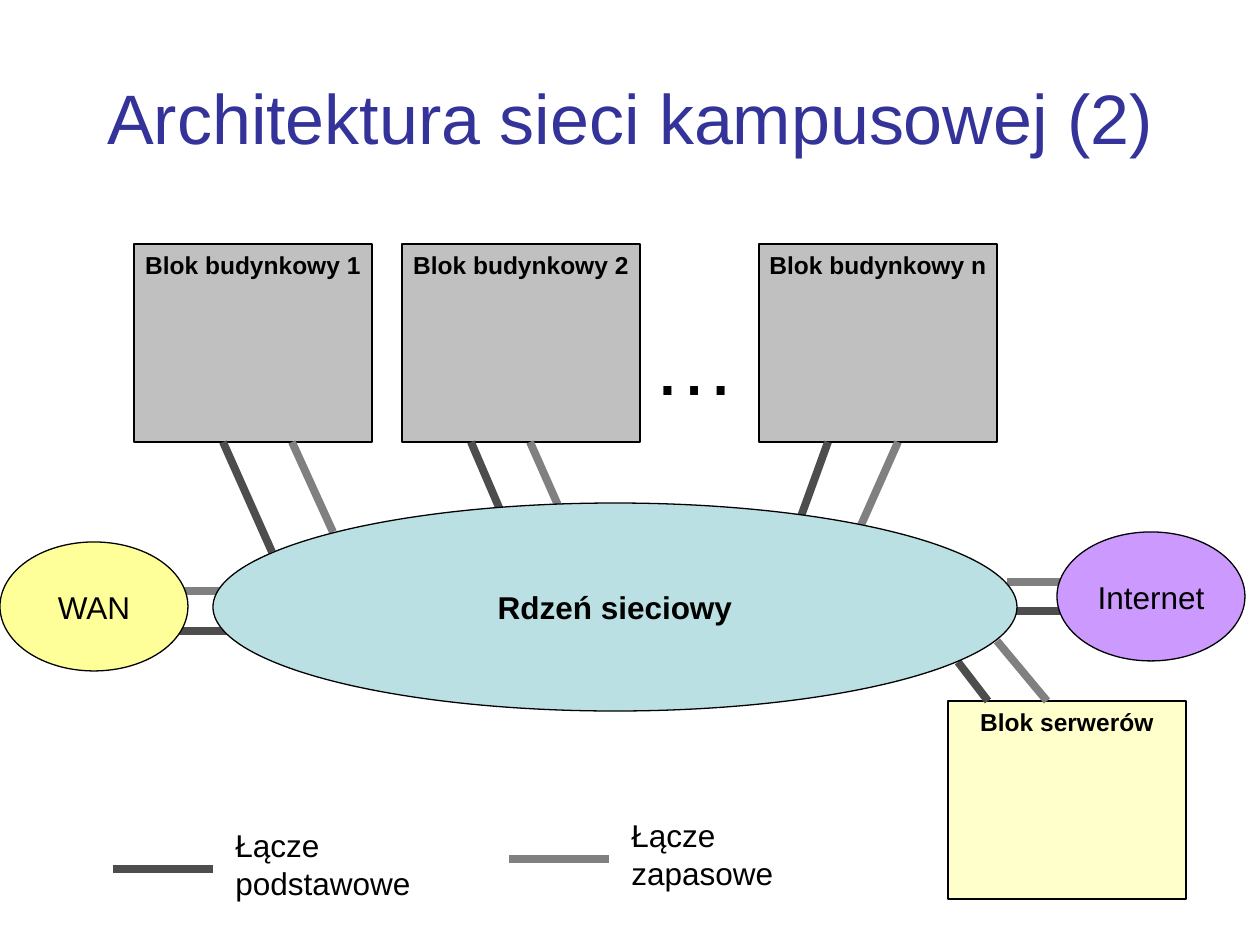
import pptx
import pptx.dml.color
import pptx.enum.shapes
import pptx.enum.text
import pptx.oxml
import pptx.util

PX = 914400 / 126
COLORS = {
    "title": "333399", "text": "000000", "outline": "000000",
    "building": "C0C0C0", "servers": "FFFFCC",
    "core": "BBE0E3", "internet": "CC99FF", "wan": "FFFF99",
    "primary": "4D4D4D", "backup": "808080",
}
TITLE = ("Architektura sieci kampusowej (2)", 63, 38, 1134, 157)

BLOCK_SIZE = (238, 198)
BLOCKS = [  # text, colour, left, top
    ("Blok budynkowy 1", "building", 134, 244),
    ("Blok budynkowy 2", "building", 402, 244),
    ("Blok budynkowy n", "building", 759, 244),
    ("Blok serwerów", "servers", 948, 701),
]
CLOUDS = [  # text, colour, left, top, width, height, bold
    ("Rdzeń sieciowy", "core", 213, 503, 804, 208, True),
    ("Internet", "internet", 1057, 532, 188, 129, False),
    ("WAN", "wan", 0, 542, 188, 129, False),
]
LINKS = {  # start x, start y, end x, end y
    "primary": [
        (223, 442, 272, 552), (471, 442, 501, 512), (828, 442, 799, 522),
        (958, 662, 988, 701), (1007, 611, 1067, 611), (174, 631, 233, 631),
    ],
    "backup": [
        (292, 442, 333, 532), (530, 442, 561, 512), (898, 442, 858, 532),
        (997, 641, 1047, 701), (1007, 582, 1067, 582), (174, 591, 223, 591),
    ],
}
ELLIPSIS = ("…", 640, 305, 108, 113)
LEGEND = [  # text, link kind, sample left, sample centre, label width
    ("Łącze\npodstawowe", "primary", 113, 869, 200),
    ("Łącze\nzapasowe", "backup", 509, 859, 168),
]
SAMPLE_WIDTH, LABEL_GAP, LABEL_RISE, LABEL_HEIGHT = 100, 10, 49, 88

SHAPE = pptx.enum.shapes.MSO_SHAPE
ALIGN = pptx.enum.text.PP_ALIGN
ANCHOR = pptx.enum.text.MSO_ANCHOR


def emu(*lengths):
    return [round(length * PX) for length in lengths]


def rgb(name):
    return pptx.dml.color.RGBColor.from_string(COLORS[name])


def write(box, text, size, color="text", bold=False, align=ALIGN.CENTER,
          anchor=ANCHOR.TOP, wrap=False):
    frame = box.text_frame
    frame.word_wrap = wrap
    frame.vertical_anchor = anchor
    paragraph = frame.paragraphs[0]
    paragraph.text = text
    paragraph.alignment = align
    font = paragraph.font
    font.name, font.size, font.bold = "Arial", pptx.util.Pt(size), bold
    font.color.rgb = rgb(color)


def add_growing_label(page, text, place, size):
    """Add left-aligned text whose box grows to keep its lines whole."""
    label = page.shapes.add_textbox(*emu(*place))
    write(label, text, size, align=ALIGN.LEFT)
    label.text_frame.auto_size = pptx.enum.text.MSO_AUTO_SIZE.SHAPE_TO_FIT_TEXT


def add_node(page, kind, color, place):
    node = page.shapes.add_shape(kind, *emu(*place))
    node.shadow.inherit = False
    node.fill.solid()
    node.fill.fore_color.rgb = rgb(color)
    node.line.color.rgb = rgb("outline")
    node.line.width = pptx.util.Pt(0.75)
    return node


def add_link(page, kind, ends):
    link = page.shapes.add_connector(
        pptx.enum.shapes.MSO_CONNECTOR.STRAIGHT, *emu(*ends))
    link.line.color.rgb = rgb(kind)
    link.line.width = pptx.util.Pt(4.5)
    link._element.spPr.append(pptx.oxml.parse_xml(
        '<a:effectLst xmlns:a='
        '"http://schemas.openxmlformats.org/drawingml/2006/main"/>'))


def main():
    deck = pptx.Presentation()
    deck.slide_width = pptx.util.Inches(10)
    deck.slide_height = pptx.util.Inches(7.5)
    page = deck.slides.add_slide(deck.slide_layouts[6])

    title = page.shapes.add_textbox(*emu(*TITLE[1:]))
    write(title, TITLE[0], 40, color="title", anchor=ANCHOR.MIDDLE, wrap=True)
    for text, color, left, top in BLOCKS:
        block = add_node(page, SHAPE.RECTANGLE, color, (left, top, *BLOCK_SIZE))
        write(block, text, 14, bold=True)
    add_growing_label(page, ELLIPSIS[0], ELLIPSIS[1:], 48)

    for kind, links in LINKS.items():
        for ends in links:
            add_link(page, kind, ends)
    for text, color, *place, bold in CLOUDS:
        cloud = add_node(page, SHAPE.OVAL, color, place)
        write(cloud, text, 18, bold=bold, anchor=ANCHOR.MIDDLE)

    for text, kind, left, centre, width in LEGEND:
        right = left + SAMPLE_WIDTH
        add_link(page, kind, (left, centre, right, centre))
        place = (right + LABEL_GAP, centre - LABEL_RISE, width, LABEL_HEIGHT)
        add_growing_label(page, text, place, 18)

    deck.save("out.pptx")


if __name__ == "__main__":
    main()
